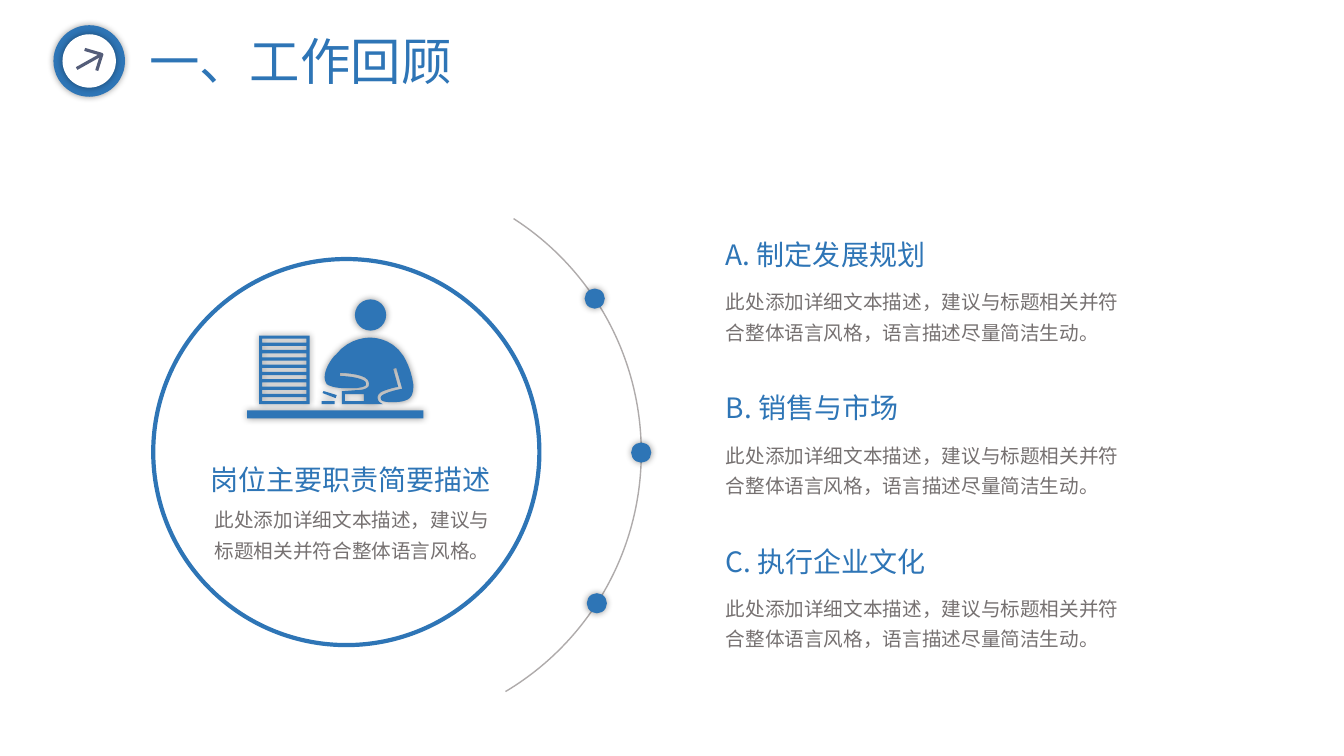
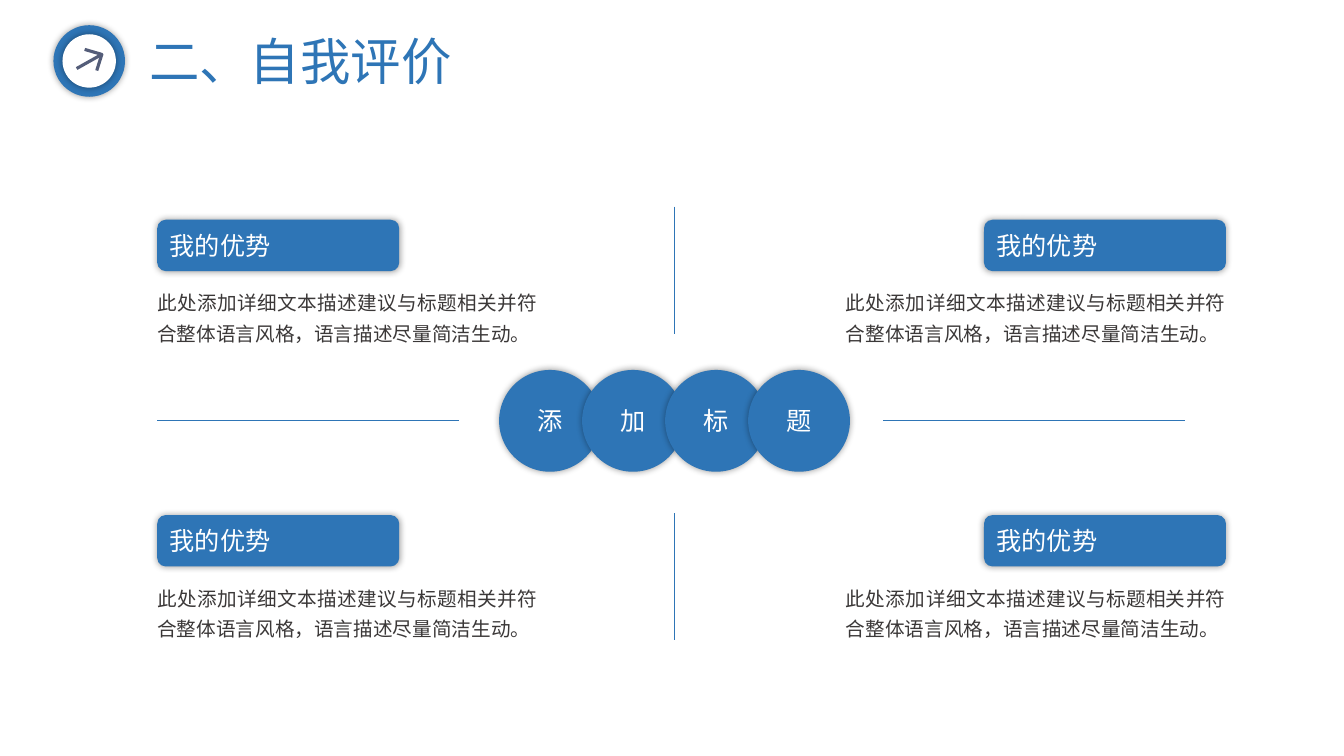
from math import cos, radians, sin

from lxml.etree import SubElement
from pptx import Presentation
from pptx.dml.color import RGBColor
from pptx.enum.lang import MSO_LANGUAGE_ID as Lang
from pptx.enum.shapes import MSO_CONNECTOR as Connector, MSO_SHAPE as Shape
from pptx.enum.text import MSO_ANCHOR as Anchor, PP_ALIGN as Align
from pptx.oxml.ns import qn
from pptx.util import Pt

PX = 9144
BLUE, WHITE, SLATE = "2E75B6", "FFFFFF", "545D79"
GREY, DARK, ARC_GREY = "767171", "3B3838", "AFABAB"
HEAD_FONT, BODY_FONT, CIRCLE_FONT = "Noto Sans CJK JP", "Noto Sans CJK SC", "Calibri"
BODY = dict(size=14, font=BODY_FONT, color=GREY, spacing=1.3)

DUTY_TEXT = "此处添加详细文本描述，建议与标题相关并符合整体语言风格，语言描述尽量简洁生动。"
DUTIES = ["A. 制定发展规划", "B. 销售与市场", "C. 执行企业文化"]
STRENGTH_TEXT = "此处添加详细文本描述建议与标题相关并符合整体语言风格，语言描述尽量简洁生动。"

TORSO = [
    (53, 63), (51, 58, 55, 55, 58, 54), (63, 52, 70, 50, 73, 50),
    (68, 32), (71, 31), (77, 52), (75, 52),
    (75, 52, 65, 54, 59, 57), (59, 57, 54, 59, 56, 62),
    (56, 63, 57, 65, 67, 65), (77, 65, 83, 63, 85, 60),
    (87, 58, 88, 54, 88, 48), (86, 31, 78, 19, 78, 19),
    (66, 0, 45, 1, 45, 1), (45, 1, 25, 0, 11, 18),
    (10, 18, 0, 30, 0, 40), (0, 43, 1, 45, 2, 47),
    (6, 50, 14, 51, 19, 51), (32, 51), (37, 50, 39, 50, 41, 48),
    (41, 46), (41, 42, 26, 39, 15, 39), (15, 36),
    (20, 36, 44, 37, 44, 46), (44, 48, 44, 49, 43, 50),
    (41, 52, 37, 53, 32, 53), (19, 54), (17, 54), (17, 67),
    (58, 67), (56, 66, 54, 65, 53, 63),
]
PAPER = [(39, 57), (39, 64), (20, 64), (20, 57)]
PEN = [(14, 4), (1, 0), (0, 2), (13, 7)]


def px(length):
    return round(length * PX)


def rgb(color):
    return RGBColor.from_string(color)


def style(shape, fill=None, line=None, width=1, glow=False):
    if fill:
        shape.fill.solid()
        shape.fill.fore_color.rgb = rgb(fill)
    else:
        shape.fill.background()
    if line:
        shape.line.color.rgb = rgb(line)
        shape.line.width = Pt(width)
    else:
        shape.line.fill.background()
    shape.shadow.inherit = False
    if glow:
        effects = shape._element.spPr.find(qn("a:effectLst"))
        shadow = SubElement(effects, qn("a:outerShdw"), blurRad=str(Pt(5)),
                            dist="0", dir="0", algn="ctr", rotWithShape="0")
        black = SubElement(shadow, qn("a:srgbClr"), val="000000")
        SubElement(black, qn("a:alpha"), val="40000")
    return shape


def draw(slide, kind, x, y, w, h, **look):
    return style(slide.shapes.add_shape(kind, px(x), px(y), px(w), px(h)), **look)


def rule(slide, x1, y1, x2, y2, color=BLUE, width=1):
    line = slide.shapes.add_connector(Connector.STRAIGHT, px(x1), px(y1), px(x2), px(y2))
    line.line.color.rgb = rgb(color)
    line.line.width = Pt(width)
    SubElement(line._element.spPr, qn("a:effectLst"))


def flatten(outline, steps=8):
    points = [outline[0]]
    for piece in outline[1:]:
        if len(piece) == 2:
            points.append(piece)
            continue
        start, controls = points[-1], (piece[:2], piece[2:4], piece[4:])
        for step in range(1, steps + 1):
            t = step / steps
            weights = ((1 - t) ** 3, 3 * t * (1 - t) ** 2, 3 * t * t * (1 - t), t ** 3)
            points.append(tuple(sum(weight * point[axis] for weight, point
                                    in zip(weights, (start, *controls)))
                                for axis in (0, 1)))
    return points


def outline_shape(slide, x, y, outlines, close=True, **look):
    contours = [[(px(x + dx), px(y + dy)) for dx, dy in flatten(outline)]
                for outline in outlines]
    builder = slide.shapes.build_freeform(*contours[0][0])
    for index, contour in enumerate(contours):
        if index:
            builder.move_to(*contour[0])
        builder.add_line_segments(contour[1:], close=close)
    return style(builder.convert_to_shape(), **look)


def write(shape, text, size=20, font=HEAD_FONT, color=BLUE, align=Align.LEFT,
          anchor=Anchor.TOP, spacing=None, after=None, insets=(10, 5, 10, 5)):
    frame = shape.text_frame
    frame.word_wrap = True
    frame.vertical_anchor = anchor
    frame.margin_left, frame.margin_top, frame.margin_right, frame.margin_bottom = map(px, insets)
    paragraph = frame.paragraphs[0]
    paragraph.alignment = align
    if spacing:
        paragraph.line_spacing = spacing
    if after:
        paragraph.space_after = Pt(after)
    run = paragraph.add_run()
    run.text = text
    run.font.size = Pt(size)
    run.font.name = font
    run.font.color.rgb = rgb(color)
    run.font.language_id = Lang.SIMPLIFIED_CHINESE
    SubElement(run.font._element, qn("a:ea"), typeface=font)


def label(slide, text, x, y, w, h, **form):
    write(slide.shapes.add_textbox(px(x), px(y), px(w), px(h)), text, **form)


def title_bar(slide, title, x=53, y=25):
    draw(slide, Shape.OVAL, x, y, 71, 71, fill=BLUE, glow=True)
    draw(slide, Shape.OVAL, x + 9, y + 9, 53, 53, fill=WHITE, glow=True)
    outline_shape(slide, x, y, [[(31, 24), (48, 29), (43, 45)]], close=False,
                  line=SLATE, width=2.25)
    rule(slide, x + 23, y + 43, x + 48, y + 29, color=SLATE, width=2.25)
    label(slide, title, x + 85, y, 568, 71, size=36)


def desk_worker(slide, x, y):
    solid = dict(fill=BLUE, glow=True)
    outline_shape(slide, x + 77, y + 37, [TORSO, PAPER], **solid)
    draw(slide, Shape.OVAL, x + 107, y, 31, 31, **solid)
    outline_shape(slide, x + 75, y + 91, [PEN], **solid)
    draw(slide, Shape.RECTANGLE, x + 74, y + 101, 13, 3, **solid)
    binders = [[(0, 0), (50, 0), (50, 68), (0, 68)]]
    for row in range(9):
        top = 3 + 7.25 * row
        binders.append([(3, top), (3, top + 4), (47, top + 4), (47, top)])
    outline_shape(slide, x + 12, y + 36, binders, **solid)
    draw(slide, Shape.RECTANGLE, x, y + 110, 175, 8, **solid)


def role_circle(slide, x, y, size):
    draw(slide, Shape.OVAL, x, y, size, size, fill=WHITE, line=BLUE, width=3)
    desk_worker(slide, x + 93, y + 40)
    label(slide, "岗位主要职责简要描述", x + 47, y + 197, 310, 44)
    label(slide, "此处添加详细文本描述，建议与标题相关并符合整体语言风格。",
          x + 51, y + 235, 301, 71, **BODY)


def orbit(slide, x, y, size):
    arc = draw(slide, Shape.ARC, x, y, size, size, line=ARC_GREY)
    for index, degrees in enumerate((302.75, 59.2)):
        arc.adjustments[index] = degrees * 0.6
    radius, dot = size / 2, 20
    for degrees in (-33.6, 0, 32.8):
        angle = radians(degrees)
        draw(slide, Shape.OVAL, x + radius * (1 + cos(angle)) - dot / 2,
             y + radius * (1 + sin(angle)) - dot / 2, dot, dot, fill=BLUE, glow=True)


def duty_list(slide, x, y, w, step):
    for row, heading in enumerate(DUTIES):
        top = y + row * step
        label(slide, heading, x, top, w, 44)
        label(slide, DUTY_TEXT, x, top + 45, w, 71, **BODY)


def strength(slide, x, y, w, tag_on_right):
    tag_width = 240
    tag_x = x + w - tag_width if tag_on_right else x
    tag = draw(slide, Shape.ROUNDED_RECTANGLE, tag_x, y, tag_width, 51, fill=BLUE, glow=True)
    write(tag, "我的优势", size=18, color=WHITE, anchor=Anchor.MIDDLE)
    label(slide, STRENGTH_TEXT, x, y + 40, w, 116, size=14, font=BODY_FONT, color=DARK,
          align=Align.JUSTIFY, spacing=1.3, after=12, insets=(0, 24, 0, 24))


def circle_chain(slide, text, x, y, w, h):
    step = (w - h) / (len(text) - 1)
    for index, character in enumerate(text):
        circle = draw(slide, Shape.OVAL, x + index * step, y, h, h, fill=BLUE, glow=True)
        write(circle, character, size=18, font=CIRCLE_FONT, color=WHITE,
              align=Align.CENTER, anchor=Anchor.MIDDLE)


def cross_rules(slide, x, y):
    for top in (y - 212, y + 92):
        rule(slide, x, top, x, top + 126)
    for left in (x - 513, x + 207):
        rule(slide, left, y, left + 299, y)


def review_slide(slide):
    title_bar(slide, "一、工作回顾")
    role_circle(slide, 152, 257, 383)
    orbit(slide, 84, 173, 552)
    duty_list(slide, 710, 231, 413, 152)


def evaluation_slide(slide):
    title_bar(slide, "二、自我评价")
    for y in (218, 511):
        for x, tag_on_right in ((156, False), (839, True)):
            strength(slide, x, y, 377, tag_on_right)
    circle_chain(slide, "添加标题", 495, 367, 348, 101)
    cross_rules(slide, 669, 417)


def main():
    deck = Presentation()
    deck.slide_width, deck.slide_height = px(1333), px(750)
    for build in (review_slide, evaluation_slide):
        build(deck.slides.add_slide(deck.slide_layouts[6]))
    deck.save("out.pptx")


if __name__ == "__main__":
    main()
